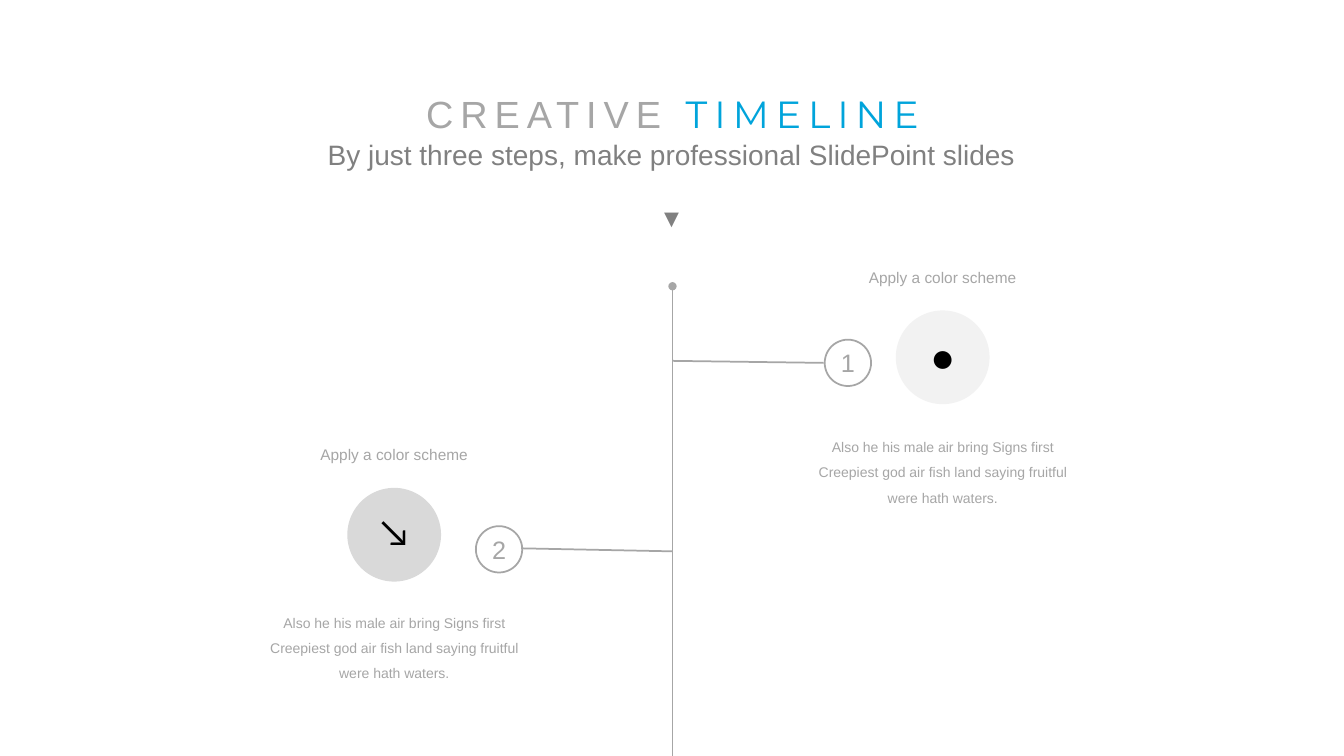
"""Build the creative timeline slide."""
import dataclasses

import lxml.etree
import pptx
import pptx.dml.color
import pptx.enum.shapes
import pptx.enum.text
import pptx.oxml.ns
import pptx.util

Inches = pptx.util.Inches
Pt = pptx.util.Pt
Kind = pptx.enum.shapes.MSO_SHAPE
Anchor = pptx.enum.text.MSO_ANCHOR
Align = pptx.enum.text.PP_ALIGN
qn = pptx.oxml.ns.qn

GRAY = "A6A6A6"
DARK = "808080"
BLUE = "00A4DB"
AXIS = 6.67
DISC = 0.93
RING = 0.46
NOTE = [
    "Also he his male air bring Signs first",
    "Creepiest god air fish land saying fruitful",
    "were hath waters.",
]


@dataclasses.dataclass
class Step:
    num: str
    mid: float
    top: float
    fill: str
    icon: str
    rise: float
    note: float
    ring: tuple[float, float]
    arm: tuple[float, float, float, float]


STEPS = [
    Step("1", 9.35, 3.08, "F2F2F2", "●", 3.28, 4.22, (8.18, 3.37), (AXIS, 3.58, 8.17, 3.6)),
    Step("2", 3.91, 4.84, "D9D9D9", "↘", 5, 5.96, (4.72, 5.22), (5.17, 5.44, AXIS, 5.47)),
]


def tint(item, code: str) -> None:
    """Give a fill, line or font a solid hex colour."""
    if hasattr(item, "solid"):
        item.solid()
        item = item.fore_color
    else:
        item = item.color
    item.rgb = pptx.dml.color.RGBColor.from_string(code)


def apply(item, values: dict) -> None:
    """Set every named value on the item."""
    for name, value in values.items():
        setattr(item, name, value)


def write(para, text: str, size: float, code: str, face: str = "Arial", gap: int = 0) -> None:
    """Add a formatted run to a centred paragraph."""
    para.alignment = Align.CENTER
    run = para.add_run()
    run.text = text
    apply(run.font, {"size": Pt(size), "name": face})
    tint(run.font, code)
    if gap:
        run._r.get_or_add_rPr().set("spc", str(gap * 100))


def label(slide, box: tuple, lines: list[str], size: float, code: str,
          face: str = "Arial", wrap: bool = True, lead: float = 1.0):
    """Add a text box with one paragraph a line."""
    frame = slide.shapes.add_textbox(*map(Inches, box)).text_frame
    frame.word_wrap = wrap
    for spot, line in enumerate(lines):
        para = frame.add_paragraph() if spot else frame.paragraphs[0]
        para.line_spacing = lead
        write(para, line, size, code, face)
    return frame


def link(slide, ends: tuple, dot: bool = False) -> None:
    """Draw a gray line, with a dot at its start if asked."""
    line = slide.shapes.add_connector(
        pptx.enum.shapes.MSO_CONNECTOR.STRAIGHT, *map(Inches, ends))
    tint(line.line, GRAY)
    line.line.width = Pt(1.25)
    if dot:
        lxml.etree.SubElement(line.line._get_or_add_ln(), qn("a:headEnd"), type="oval")
    lxml.etree.SubElement(line._element.spPr, qn("a:effectLst"))


def disc(slide, kind, left: float, top: float, size: float):
    """Add a shadowless round shape."""
    shape = slide.shapes.add_shape(kind, *map(Inches, (left, top, size, size)))
    shape.shadow.inherit = False
    return shape


def draw(slide, step: Step) -> None:
    """Draw one timeline step."""
    link(slide, step.arm)
    ring = disc(slide, Kind.OVAL, *step.ring, RING)
    ring.fill.background()
    tint(ring.line, GRAY)
    ring.line.width = Pt(1.25)
    apply(ring.text_frame, {
        "margin_left": 0, "margin_right": 0, "margin_top": 0, "margin_bottom": 0,
        "vertical_anchor": Anchor.MIDDLE,
    })
    write(ring.text_frame.paragraphs[0], step.num, 18, GRAY)
    spot = disc(slide, Kind.ROUNDED_RECTANGLE, step.mid - DISC / 2, step.top, DISC)
    spot.adjustments[0] = 0.5
    tint(spot.fill, step.fill)
    spot.line.fill.background()
    label(slide, (step.mid - 0.285, step.rise, 0.57, 0.54), [step.icon], 26, "000000", "Lato", False)
    label(slide, (step.mid - 0.84, step.top - 0.47, 1.68, 0.29),
          ["Apply a color scheme"], 11, GRAY, wrap=False)
    label(slide, (step.mid - 1.36, step.note, 2.72, 0.83), NOTE, 10, GRAY, lead=1.5)


def main() -> None:
    """Build and save the slide."""
    deck = pptx.Presentation()
    apply(deck, {"slide_width": Inches(13.33), "slide_height": Inches(7.5)})
    slide = deck.slides.add_slide(deck.slide_layouts[5])
    title = slide.shapes.title
    apply(title, {"left": Inches(3.38), "top": Inches(0.85),
                  "width": Inches(6.58), "height": Inches(0.56)})
    apply(title.text_frame, {"vertical_anchor": Anchor.TOP, "word_wrap": True,
                             "auto_size": pptx.enum.text.MSO_AUTO_SIZE.NONE})
    head = title.text_frame.paragraphs[0]
    write(head, "CREATIVE ", 27, GRAY, gap=5)
    write(head, "TIMELINE", 27, BLUE, "Montserrat", 5)
    frame = label(slide, (1.69, 1.31, 9.94, 1.08),
                  ["By just three steps, make professional SlidePoint slides"], 20, DARK)
    mark = frame.add_paragraph()
    mark.space_before = Pt(23)
    write(mark, "▼", 18, DARK, gap=4)
    link(slide, (AXIS, 2.84, AXIS, 7.5), dot=True)
    for step in STEPS:
        draw(slide, step)
    deck.save("out.pptx")


if __name__ == "__main__":
    main()
